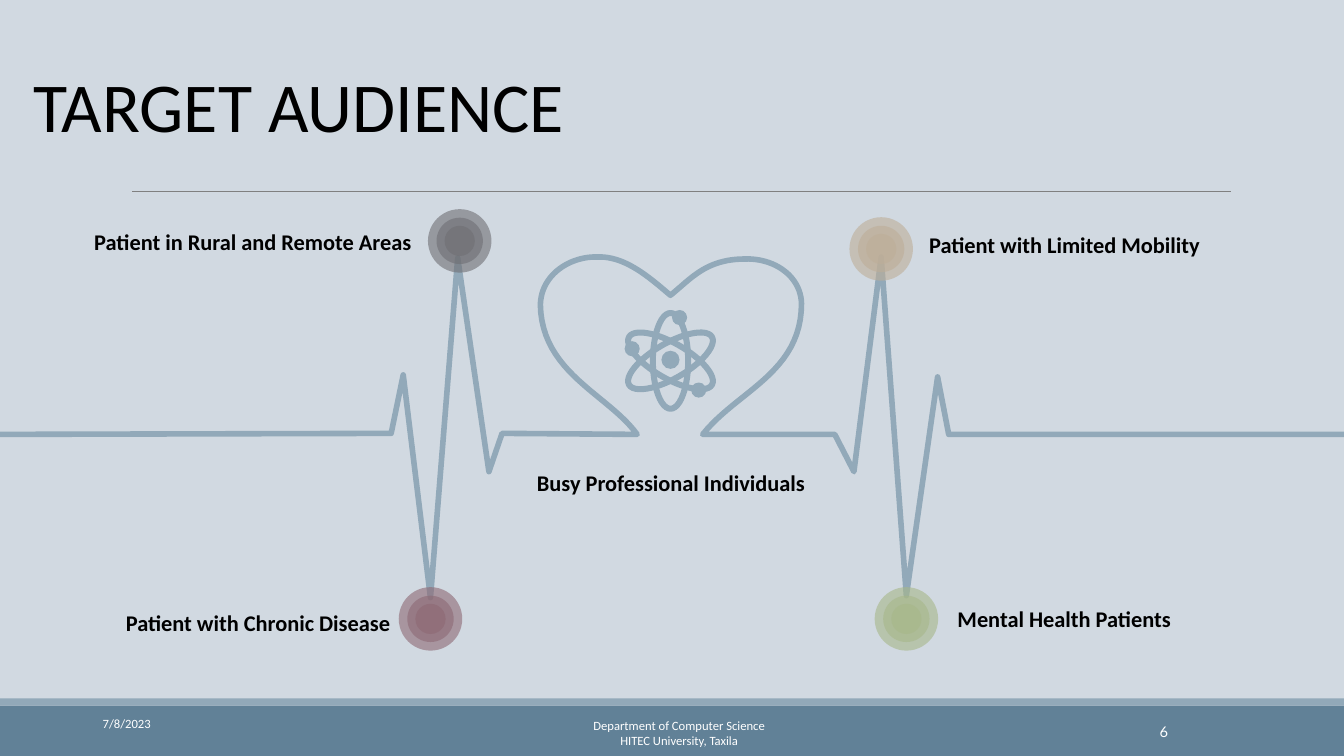
"""Build the target audience slide: a heartbeat trace with a target at each peak."""
from dataclasses import dataclass

from lxml import etree
from pptx import Presentation
from pptx import util as u
from pptx.dml import color
from pptx.enum import shapes, text
from pptx.oxml import ns
from pptx.shapes import autoshape, shapetree

COLS, ROWS = 1333, 750
WIDE, HIGH = u.Inches(13.33), u.Inches(7.5)
Tree = shapetree.SlideShapes | shapetree.GroupShapes
Point = tuple[float, float]
Area = tuple[float, float, float, float]


@dataclass(frozen=True)
class Theme:
    back: str = "D1D9E1"
    band: str = "618197"
    pulse: str = "92A9B9"
    rule: str = "808080"
    ink: str = "000000"
    pale: str = "FFFFFF"
    font: str = "Calibri"
    digit: str = "Lato"
    title: float = 50
    label: float = 16
    foot: float = 9
    page: float = 10.5
    trace: float = 4
    orbit: float = 4.3
    hair: float = 0.5
    alpha: int = 60


@dataclass(frozen=True)
class Label:
    words: str
    area: Area
    align: text.PP_ALIGN = text.PP_ALIGN.RIGHT
    size: float = Theme.label
    tint: str = Theme.ink
    font: str = Theme.font
    bold: bool = True
    middle: bool = False


@dataclass(frozen=True)
class Target:
    x: float
    y: float
    tint: str


@dataclass(frozen=True)
class Curve:
    lead: Point
    pull: Point
    end: Point


LOOK = Theme()
LEFT, MID = text.PP_ALIGN.LEFT, text.PP_ALIGN.CENTER
OVAL, RECT = shapes.MSO_SHAPE.OVAL, shapes.MSO_SHAPE.RECTANGLE
RINGS = (63, 46, 30)
ATOM = (665, 358)
TARGETS = (
    Target(456, 239, "6F6F74"),
    Target(874, 247, "BEAE98"),
    Target(427, 614, "8D6974"),
    Target(899, 614, "A7B789"),
)
LABELS = (
    Label("Patient with Chronic Disease", (86, 599, 311, 37)),
    Label("Patient with Limited Mobility", (889, 224, 311, 37)),
    Label("Patient in Rural and Remote Areas", (76, 221, 342, 37)),
    Label("Busy Professional Individuals", (499, 461, 333, 37), MID),
    Label("Mental Health Patients", (889, 595, 333, 37), MID),
)
FEET = (
    Label("Department of Computer Science\nHITEC University, Taxila", (433, 705, 481, 44),
          MID, LOOK.foot, LOOK.pale, bold=False, middle=True),
    Label("7/8/2023", (92, 698, 100, 40), LEFT, LOOK.foot, LOOK.pale, bold=False, middle=True),
    Label("6", (1083, 706, 143, 40), MID, LOOK.page, LOOK.pale, LOOK.digit, False, True),
)
TITLE = Label("TARGET AUDIENCE", (33, 72, 1266, 79), LEFT, LOOK.title, bold=False, middle=True)
BEAT = (
    (0, 431), (388, 430), (400, 372), (427, 593), (454, 256), (485, 468), (498, 430), (632, 431),
    Curve((603, 391), (537, 370), (536, 302)),
    Curve((537, 272), (566, 254), (593, 255)),
    Curve((621, 254), (646, 277), (665, 293)),
    Curve((685, 277), (700, 257), (739, 257)),
    Curve((767, 256), (794, 273), (795, 301)),
    Curve((795, 370), (731, 388), (697, 431)),
    (828, 431), (847, 468), (874, 255), (899, 591), (930, 374), (941, 431), (1333, 431),
)


def col(n: float) -> u.Emu:
    """Turn grid columns into a length."""
    return u.Emu(round(WIDE * n / COLS))


def row(n: float) -> u.Emu:
    """Turn grid rows into a length."""
    return u.Emu(round(HIGH * n / ROWS))


def place(area: Area) -> tuple[u.Emu, u.Emu, u.Emu, u.Emu]:
    """Turn a grid area into left, top, width and height."""
    x, y, w, h = area
    return col(x), row(y), col(w), row(h)


def hue(code: str) -> color.RGBColor:
    """Turn a hex code into a colour."""
    return color.RGBColor.from_string(code)


def block(tree: Tree, kind: shapes.MSO_SHAPE, area: Area, tint: str) -> autoshape.Shape:
    """Add a filled shape without an outline."""
    item = tree.add_shape(kind, *place(area))
    item.shadow.inherit = False
    item.fill.solid()
    item.fill.fore_color.rgb = hue(tint)
    item.line.fill.background()
    return item


def disc(tree: Tree, x: float, y: float, size: float, tint: str) -> autoshape.Shape:
    """Add a filled circle around a centre."""
    return block(tree, OVAL, (x - size / 2, y - size / 2, size, size), tint)


def stroke(item: autoshape.Shape, width: float) -> None:
    """Leave only a pulse-coloured outline on a shape."""
    item.shadow.inherit = False
    item.fill.background()
    item.line.color.rgb = hue(LOOK.pulse)
    item.line.width = u.Pt(width)


def write(tree: Tree, note: Label) -> text.PP_ALIGN:
    """Add a text box and return its frame."""
    frame = tree.add_textbox(*place(note.area)).text_frame
    frame.text = note.words
    frame.word_wrap = True
    if note.middle:
        frame.vertical_anchor = text.MSO_ANCHOR.MIDDLE
    else:
        frame.auto_size = text.MSO_AUTO_SIZE.SHAPE_TO_FIT_TEXT
    for para in frame.paragraphs:
        para.alignment = note.align
        for run in para.runs:
            run.font.name = note.font
            run.font.size = u.Pt(note.size)
            run.font.bold = note.bold
            run.font.color.rgb = hue(note.tint)
    return frame


def bend(start: Point, arc: Curve, steps: int = 24) -> list[Point]:
    """Sample a cubic curve."""
    spots = (start, arc.lead, arc.pull, arc.end)
    out = []
    for n in range(1, steps + 1):
        t = n / steps
        parts = ((1 - t) ** 3, 3 * t * (1 - t) ** 2, 3 * t * t * (1 - t), t ** 3)
        x, y = (sum(p * s[axis] for p, s in zip(parts, spots)) for axis in (0, 1))
        out.append((x, y))
    return out


def pulse(tree: Tree) -> None:
    """Draw the heartbeat trace with its heart."""
    dots: list[Point] = []
    for part in BEAT:
        dots += bend(dots[-1], part) if isinstance(part, Curve) else [part]
    spots = [(col(x), row(y)) for x, y in dots]
    pen = tree.build_freeform(*spots[0])
    pen.add_line_segments(spots[1:], close=False)
    item = pen.convert_to_shape()
    stroke(item, LOOK.trace)
    line = item.element.spPr.find(ns.qn("a:ln"))
    line.set("cap", "rnd")
    etree.SubElement(line, ns.qn("a:round"))


def atom(tree: Tree) -> None:
    """Draw three orbits, a core and three electrons."""
    x, y = ATOM
    for turn in (0, 60, 120):
        ring = tree.add_shape(OVAL, *place((x - 17.5, y - 47.5, 35, 95)))
        ring.rotation = turn
        stroke(ring, LOOK.orbit)
    disc(tree, x, y - 1, 18, LOOK.pulse)
    for spot in ((674, 315), (627, 346), (693, 387)):
        disc(tree, *spot, 15, LOOK.pulse)


def aim(tree: Tree, mark: Target) -> None:
    """Draw a group of translucent rings around one centre."""
    group = tree.add_group_shape()
    for size in RINGS:
        item = disc(group.shapes, mark.x, mark.y, size, mark.tint)
        tone = item.element.spPr.find(ns.qn("a:solidFill"))[0]
        etree.SubElement(tone, ns.qn("a:alpha"), val=str(LOOK.alpha * 1000))


def main() -> None:
    """Build and save the slide."""
    deck = Presentation()
    deck.slide_width, deck.slide_height = WIDE, HIGH
    slide = deck.slides.add_slide(deck.slide_layouts[6])
    slide.background.fill.solid()
    slide.background.fill.fore_color.rgb = hue(LOOK.back)
    tree = slide.shapes
    block(tree, RECT, (0, 700, COLS, 50), LOOK.band)
    block(tree, RECT, (0, 693, COLS, 7), LOOK.pulse)
    rule = tree.add_connector(shapes.MSO_CONNECTOR.STRAIGHT, col(131), row(190), col(1221), row(190))
    rule.line.color.rgb = hue(LOOK.rule)
    rule.line.width = u.Pt(LOOK.hair)
    etree.SubElement(rule.element.spPr, ns.qn("a:effectLst"))
    head = write(tree, TITLE)
    head.margin_left = head.margin_right = 0
    head.paragraphs[0].line_spacing = 0.8
    head.paragraphs[0].space_after = u.Pt(2)
    atom(tree)
    pulse(tree)
    for mark in TARGETS:
        aim(tree, mark)
    for note in LABELS + FEET:
        write(tree, note)
    deck.save("out.pptx")


if __name__ == "__main__":
    main()
